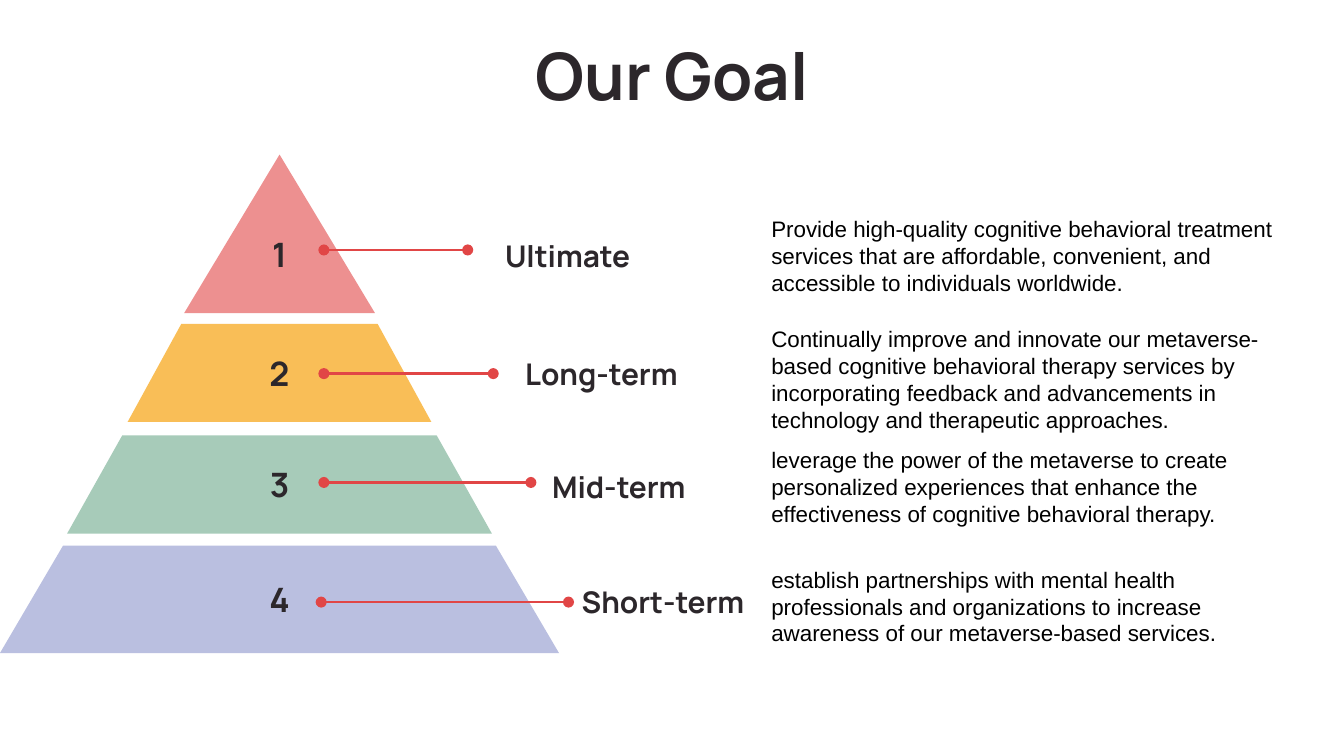
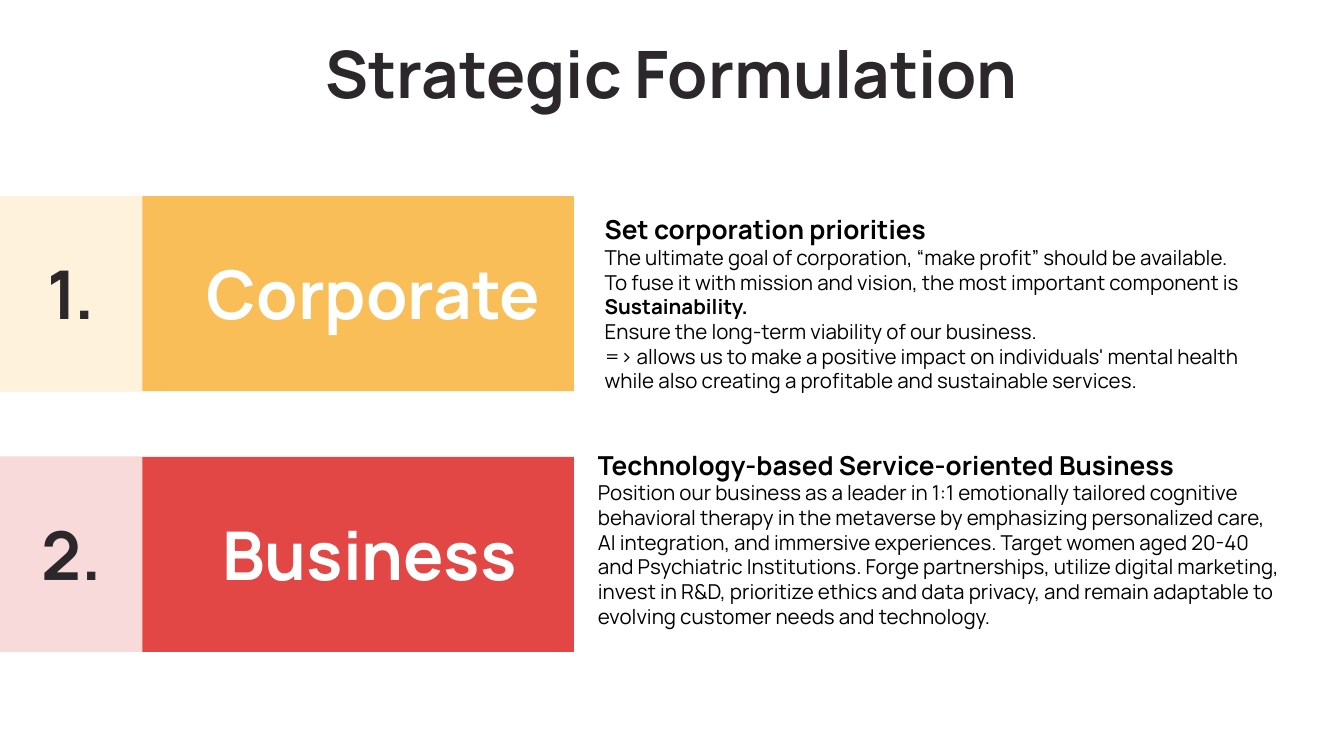
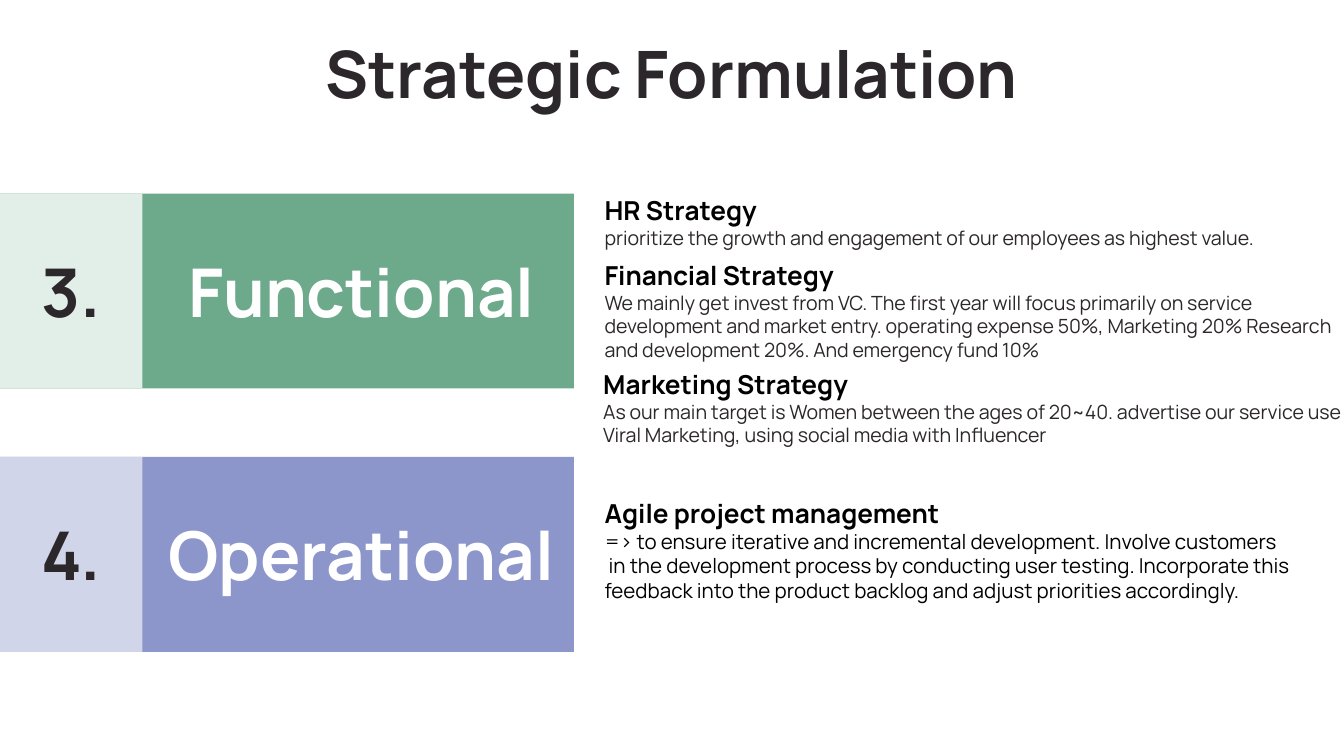
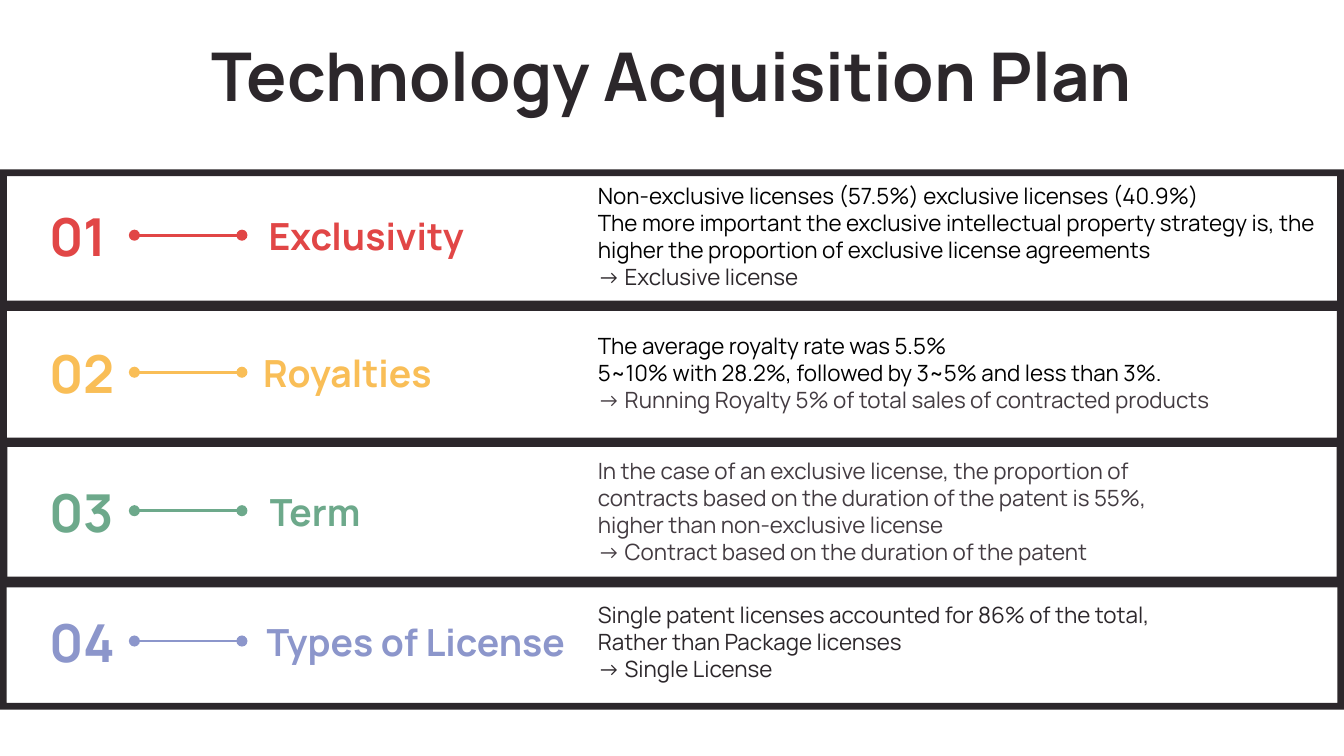
from dataclasses import dataclass

from lxml.etree import SubElement
from pptx import Presentation
from pptx.dml.color import RGBColor
from pptx.enum.shapes import MSO_CONNECTOR, MSO_SHAPE
from pptx.enum.text import MSO_ANCHOR, MSO_AUTO_SIZE, PP_ALIGN
from pptx.oxml.ns import qn
from pptx.util import Inches, Pt


@dataclass(frozen=True)
class Theme:
    """Colours, fonts and type sizes shared by the slides."""

    ink: str = "2C272B"
    soft_ink: str = "433B41"
    black: str = "000000"
    white: str = "FFFFFF"
    red: str = "E14646"
    yellow: str = "F9BE57"
    green: str = "6DA98B"
    violet: str = "8C96CB"
    business_red: str = "E24645"
    pale_yellow: str = "FEF2DD"
    pale_red: str = "F9DADA"
    pale_green: str = "E2EEE8"
    pale_violet: str = "D1D5EA"
    tier_red: str = "ED9090"
    tier_green: str = "A7CBB9"
    tier_violet: str = "BABFE0"
    font: str = "Manrope"
    goal_font: str = "Arial"
    title: float = 35
    banner: float = 36
    row_number: float = 28
    row_label: float = 20
    tier_number: float = 18
    tier_label: float = 16
    heading: float = 14
    detail: float = 12
    note: float = 11
    small_note: float = 10.5


THEME = Theme()
TITLE_BOX = (0.79, 0.22, 8.42, 0.63)
APEX_X = 2.08


def place(box):
    """Convert a box in inches to lengths."""
    return [Inches(value) for value in box]


def paint(part, color):
    """Give a shape a plain fill without line or shadow."""
    part.fill.solid()
    part.fill.fore_color.rgb = RGBColor.from_string(color)
    part.line.fill.background()
    part.shadow.inherit = False


def write(frame, paragraphs, *, size, color=THEME.ink, bold=False, font=THEME.font,
          align=PP_ALIGN.LEFT, anchor=MSO_ANCHOR.MIDDLE, inset_top=0.1):
    """Fill a text frame; a paragraph is a string or a list of (text, overrides)."""
    frame.word_wrap = True
    frame.auto_size = MSO_AUTO_SIZE.NONE
    frame.vertical_anchor = anchor
    frame.margin_left = frame.margin_right = frame.margin_bottom = Inches(0.1)
    frame.margin_top = Inches(inset_top)
    if isinstance(paragraphs, str):
        paragraphs = [paragraphs]
    for index, content in enumerate(paragraphs):
        paragraph = frame.add_paragraph() if index else frame.paragraphs[0]
        paragraph.alignment = align
        paragraph.line_spacing = 1.0
        for text, changes in [(content, {})] if isinstance(content, str) else content:
            style = {"size": size, "color": color, "bold": bold, **changes}
            run = paragraph.add_run()
            run.text = text
            run.font.name = font
            run.font.size = Pt(style["size"])
            run.font.bold = style["bold"]
            run.font.color.rgb = RGBColor.from_string(style["color"])


def add_text(slide, paragraphs, box, **style):
    """Add a text box."""
    write(slide.shapes.add_textbox(*place(box)).text_frame, paragraphs, **style)


def add_titled_slide(deck, title, box=TITLE_BOX, size=THEME.title):
    """Add a title-only slide with its centred title."""
    slide = deck.slides.add_slide(deck.slide_layouts[5])
    heading = slide.shapes.title
    heading.left, heading.top, heading.width, heading.height = place(box)
    write(heading.text_frame, title, size=size, bold=True, align=PP_ALIGN.CENTER)
    return slide


def add_dotted_line(slide, start, end, y, color):
    """Add a level line with a dot at each end."""
    link = slide.shapes.add_connector(
        MSO_CONNECTOR.STRAIGHT, *place((start, y, end, y)))
    link.line.color.rgb = RGBColor.from_string(color)
    link.line.width = Pt(1.5)
    properties = link._element.spPr
    for end_tag in ("a:headEnd", "a:tailEnd"):
        SubElement(properties.find(qn("a:ln")), qn(end_tag), type="oval")
    SubElement(properties, qn("a:effectLst"))


def add_tier(slide, number, top, bottom, half_top, half_bottom, color, inset_top=0.1):
    """Add one numbered tier of the pyramid."""
    corners = [tuple(place(corner)) for corner in (
        (APEX_X - half_top, top), (APEX_X - half_bottom, bottom),
        (APEX_X + half_bottom, bottom), (APEX_X + half_top, top))]
    builder = slide.shapes.build_freeform(*corners[0])
    builder.add_line_segments(corners[1:])
    tier = builder.convert_to_shape()
    paint(tier, color)
    write(tier.text_frame, str(number), size=THEME.tier_number, bold=True,
          align=PP_ALIGN.CENTER, inset_top=inset_top)


def add_goal(slide, label, detail, label_x, label_y, detail_y, width):
    """Add a goal's label and its description."""
    add_text(slide, label, (label_x, label_y, 1.77, 0.44),
             size=THEME.tier_label, bold=True)
    add_text(slide, detail, (5.64, detail_y, width, 0.44), size=THEME.detail,
             color=THEME.black, font=THEME.goal_font)


def add_banner(slide, number, name, top, center, color, pale):
    """Add a strategy level: a pale number cell and a coloured name bar."""
    for width, shade in ((4.27, color), (1.06, pale)):
        bar = slide.shapes.add_shape(
            MSO_SHAPE.RECTANGLE, *place((0, top, width, 1.45)))
        paint(bar, shade)
    style = {"size": THEME.banner, "bold": True, "align": PP_ALIGN.CENTER}
    add_text(slide, name, (center - 1.65, top + 0.27, 3.3, 0.9),
             color=THEME.white, **style)
    add_text(slide, f"{number}.", (0.12, top + 0.27, 0.82, 0.9), **style)


def add_strategy(slide, heading, lines, box, size=THEME.note, color=THEME.black):
    """Add a bold heading followed by its lines."""
    title = [(heading, {"size": THEME.heading, "color": THEME.black, "bold": True})]
    add_text(slide, [title, *lines], box, size=size, color=color, anchor=MSO_ANCHOR.TOP)


def add_plan_row(slide, number, label, label_width, y, color, lines, detail_width,
                 detail_color, align=PP_ALIGN.LEFT):
    """Add one row of the plan, centred on y."""
    top = y - 0.23
    add_dotted_line(slide, 1, 1.8, y, color)
    add_text(slide, label, (1.8, top, label_width, 0.47), size=THEME.row_label,
             color=color, bold=True, align=PP_ALIGN.CENTER)
    add_text(slide, lines, (4.35, top, detail_width, 0.47), size=THEME.detail,
             color=detail_color, align=align)
    add_text(slide, f"{number:02}", (0.27, top, 0.72, 0.47), size=THEME.row_number,
             color=color, bold=True)


def build_goals(deck):
    """Build the pyramid of goals."""
    slide = add_titled_slide(deck, "Our Goal", (0.79, 0.24, 8.42, 0.63))
    tiers = [
        (1.15, 2.33, 0, 0.71, THEME.tier_red, 0.4),
        (2.41, 3.14, 0.73, 1.13, THEME.yellow),
        (3.24, 3.97, 1.17, 1.58, THEME.tier_green),
        (4.06, 4.86, 1.61, 2.08, THEME.tier_violet),
    ]
    for number, tier in enumerate(tiers, 1):
        add_tier(slide, number, *tier)
    goals = [
        ("Ultimate", "Provide high-quality cognitive behavioral treatment services that "
         "are affordable, convenient, and accessible to individuals worldwide.",
         3.66, 1.68, 1.68, 4.19),
        ("Long-term", "Continually improve and innovate our metaverse-based cognitive "
         "behavioral therapy services by incorporating feedback and advancements in "
         "technology and therapeutic approaches.", 3.81, 2.56, 2.6, 4.25),
        ("Mid-term", "leverage the power of the metaverse to create personalized "
         "experiences that enhance the effectiveness of cognitive behavioral therapy.",
         4.01, 3.4, 3.4, 4.25),
        ("Short-term", "establish partnerships with mental health professionals and "
         "organizations to increase awareness of our metaverse-based services.",
         4.23, 4.26, 4.29, 4.15),
    ]
    for goal in goals:
        add_goal(slide, *goal)
    for start, end, y in ((2.41, 3.48, 1.86), (2.41, 3.67, 2.78),
                          (2.41, 3.95, 3.59), (2.39, 4.23, 4.48)):
        add_dotted_line(slide, start, end, y, THEME.red)


def build_corporate_and_business(deck):
    """Build the first two strategy levels."""
    slide = add_titled_slide(deck, "Strategic Formulation")
    add_banner(slide, 1, "Corporate", 1.46, 2.78, THEME.yellow, THEME.pale_yellow)
    add_banner(slide, 2, "Business", 3.4, 2.75, THEME.business_red, THEME.pale_red)
    add_strategy(slide, "Technology-based Service-oriented Business", [
        "Position our business as a leader in 1:1 emotionally tailored cognitive "
        "behavioral therapy in the metaverse by emphasizing personalized care, AI "
        "integration, and immersive experiences. Target women aged 20-40 and "
        "Psychiatric Institutions. Forge partnerships, utilize digital marketing, "
        "invest in R&D, prioritize ethics and data privacy, and remain adaptable to "
        "evolving customer needs and technology.",
    ], (4.35, 3.24, 5.32, 1.71))
    add_strategy(slide, "Set corporation priorities", [
        "The ultimate goal of corporation, “make profit” should be available.",
        [("To fuse it with mission and vision, the most important component is ", {}),
         ("Sustainability.", {"bold": True})],
        "Ensure the long-term viability of our business.",
        "=> allows us to make a positive impact on individuals' mental health while "
        "also creating a profitable and sustainable services.",
    ], (4.4, 1.49, 5.28, 1.71))


def build_functional_and_operational(deck):
    """Build the last two strategy levels."""
    slide = add_titled_slide(deck, "Strategic Formulation")
    add_banner(slide, 3, "Functional", 1.44, 2.69, THEME.green, THEME.pale_green)
    add_banner(slide, 4, "Operational", 3.4, 2.69, THEME.violet, THEME.pale_violet)
    functional = [
        ("HR Strategy", "prioritize the growth and engagement of our employees as "
         "highest value.", (4.4, 1.35, 5.84, 0.77)),
        ("Financial Strategy", "We mainly get invest from VC. The first year will focus "
         "primarily on service development and market entry. operating expense 50%, "
         "Marketing 20% Research and development 20%. And emergency fund 10%",
         (4.4, 1.83, 5.84, 0.93)),
        ("Marketing Strategy", "As our main target is Women between the ages of 20~40. "
         "advertise our service use Viral Marketing, using social media with Influencer",
         (4.39, 2.64, 5.84, 0.93)),
    ]
    for heading, line, box in functional:
        add_strategy(slide, heading, [line], box, THEME.small_note, THEME.ink)
    add_strategy(slide, "Agile project management", [
        "=> to ensure iterative and incremental development. Involve customers",
        " in the development process by conducting user testing. Incorporate this "
        "feedback into the product backlog and adjust priorities accordingly.",
    ], (4.4, 3.6, 5.84, 1.04))


def build_acquisition_plan(deck):
    """Build the framed rows of the licensing plan."""
    slide = add_titled_slide(deck, "Technology Acquisition Plan",
                             (0.79, 0, 8.42, 1.11), THEME.banner)
    rows = [
        ("Exclusivity", 1.85, 1.75, THEME.red, [
            "Non-exclusive licenses (57.5%) exclusive licenses (40.9%)",
            "The more important the exclusive intellectual property strategy is, the "
            "higher the proportion of exclusive license agreements",
            [("-> Exclusive license", {"color": THEME.ink})],
        ], 5.65, THEME.black),
        ("Royalties", 1.57, 2.77, THEME.yellow, [
            "The average royalty rate was 5.5%",
            "5~10% with 28.2%, followed by 3~5% and less than 3%.",
            [("-> Running Royalty 5% of total sales of contracted products",
              {"color": THEME.soft_ink})],
        ], 5.65, THEME.black, PP_ALIGN.JUSTIFY),
        ("Term", 1.09, 3.8, THEME.green, [
            "In the case of an exclusive license, the proportion of contracts based on "
            "the duration of the patent is 55%, higher than non-exclusive license",
            "-> Contract based on the duration of the patent",
        ], 4.66, THEME.soft_ink),
        ("Types of License", 2.59, 4.77, THEME.violet, [
            "Single patent licenses accounted for 86% of the total, Rather than "
            "Package licenses",
            "-> Single License",
        ], 4.66, THEME.ink),
    ]
    for number, row in enumerate(rows, 1):
        add_plan_row(slide, number, *row)
    for top, height in ((1.26, 1.03), (2.26, 1.05), (3.27, 1.1), (4.29, 0.99)):
        border = slide.shapes.add_shape(MSO_SHAPE.FRAME, *place((0, top, 10, height)))
        border.adjustments[0] = 0.05
        paint(border, THEME.ink)


def main():
    """Build and save the presentation."""
    deck = Presentation()
    deck.slide_width = Inches(10)
    deck.slide_height = deck.slide_width * 9 // 16
    build_goals(deck)
    build_corporate_and_business(deck)
    build_functional_and_operational(deck)
    build_acquisition_plan(deck)
    deck.save("out.pptx")


if __name__ == "__main__":
    main()
